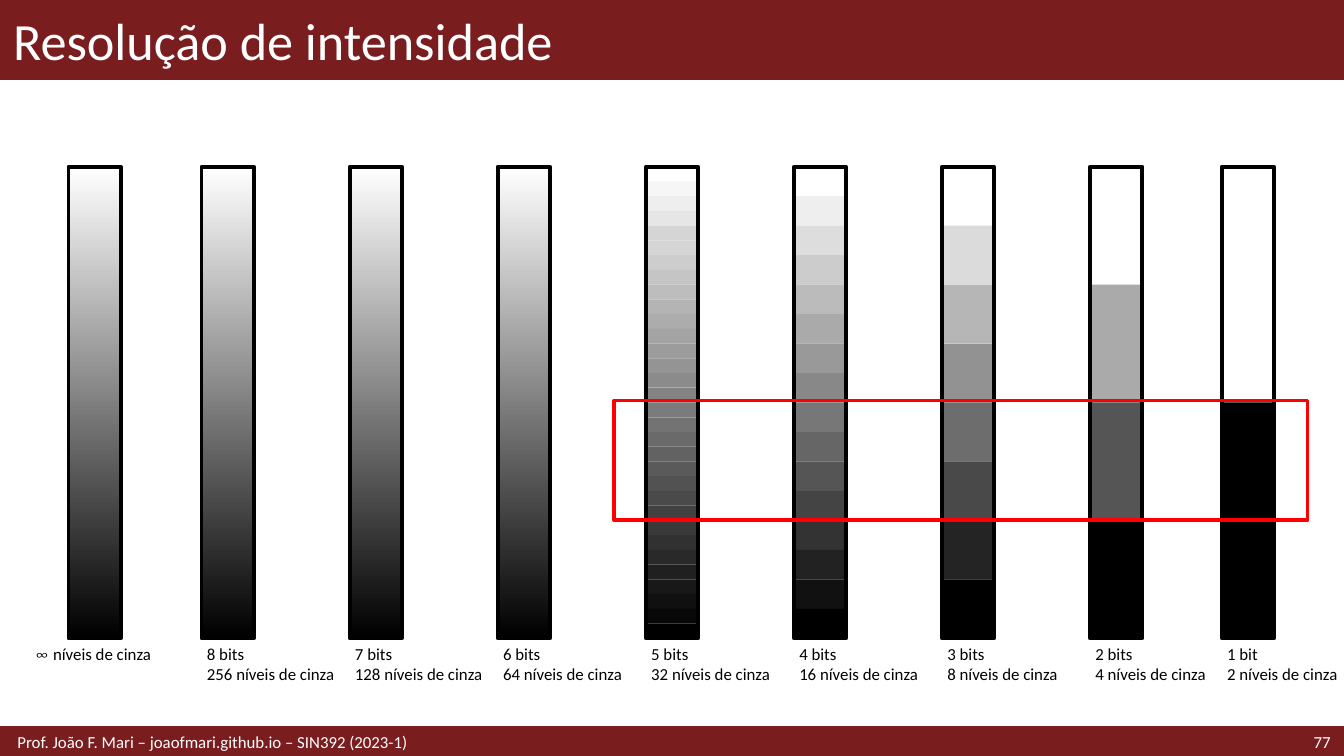
from pptx import Presentation
from pptx.dml.color import RGBColor
from pptx.enum import shapes, text
from pptx.util import Inches, Pt

COLORS = {"white": "FFFFFF", "black": "000000", "maroon": "791D1F", "red": "FF0000"}
FONT = "Calibri"
BAR_TOP, BAR_WIDTH, BAR_HEIGHT = 1.24, 0.39, 3.51
SLIDE_WIDTH = 10
SLIDE_HEIGHT = SLIDE_WIDTH * 9 / 16


def rgb(color):
    return RGBColor.from_string(COLORS.get(color, color))


def gray_levels(count):
    """Hex grays from white to black, in equal steps."""
    values = [255 * (count - 1 - i) / (count - 1) for i in range(count)]
    # The 32-level scale is truncated and repeats its sixth gray in fifth place
    if count == 32:
        values = [int(value) for value in values]
        values[4] = values[5]
    return [f"{round(value):02X}" * 3 for value in values]


class SlideBuilder:
    def __init__(self, page):
        self.page = page

    def rect(self, left, top, width, height, fill=None, line=None, weight=2, parent=None):
        box = (parent or self.page).shapes.add_shape(
            shapes.MSO_SHAPE.RECTANGLE,
            Inches(left), Inches(top), Inches(width), Inches(height))
        box.shadow.inherit = False
        if fill:
            box.fill.solid()
            box.fill.fore_color.rgb = rgb(fill)
        else:
            box.fill.background()
        if line:
            box.line.color.rgb = rgb(line)
            box.line.width = Pt(weight)
        else:
            box.line.fill.background()
        return box

    def label(self, left, top, width, height, lines, size=9, color="black",
              align=text.PP_ALIGN.LEFT, anchor=text.MSO_ANCHOR.MIDDLE,
              inset=0.1, inset_y=0.04):
        box = self.page.shapes.add_textbox(
            Inches(left), Inches(top), Inches(width), Inches(height))
        frame = box.text_frame
        frame.word_wrap = True
        frame.vertical_anchor = anchor
        frame.margin_left = frame.margin_right = Inches(inset)
        frame.margin_top = frame.margin_bottom = Inches(inset_y)
        for i, line in enumerate(lines):
            para = frame.add_paragraph() if i else frame.paragraphs[0]
            para.alignment = align
            para.font.size = Pt(size)
            para.font.color.rgb = rgb(color)
            # A line is a list of (words, font) spans, or words in the usual font
            if isinstance(line, str):
                para.font.name = FONT
                para.text = line
            else:
                for words, font in line:
                    span = para.add_run()
                    span.text = words
                    span.font.name = font

    def caption(self, left, width, lines):
        self.label(left, 4.75, width, 0.34, lines,
                   anchor=text.MSO_ANCHOR.TOP, inset=0.04)

    def gradient_bar(self, left):
        bar = self.rect(left, BAR_TOP, BAR_WIDTH, BAR_HEIGHT, "white", "black")
        bar.fill.gradient()
        bar.fill.gradient_angle = 270
        for stop, color in zip(bar.fill.gradient_stops, ("white", "black")):
            stop.color.rgb = rgb(color)

    def stepped_bar(self, left, count):
        group = self.page.shapes.add_group_shape()
        step = BAR_HEIGHT / count
        for i, gray in enumerate(gray_levels(count)):
            self.rect(left, BAR_TOP + i * step, BAR_WIDTH, step, gray, parent=group)
        self.rect(left, BAR_TOP, BAR_WIDTH, BAR_HEIGHT, line="black")


def main():
    deck = Presentation()
    deck.slide_width, deck.slide_height = Inches(SLIDE_WIDTH), Inches(SLIDE_HEIGHT)
    slide = SlideBuilder(deck.slides.add_slide(deck.slide_layouts[6]))

    # Title and footer bands
    footer_height = 0.21
    footer_top = SLIDE_HEIGHT - footer_height
    slide.rect(0, 0, SLIDE_WIDTH, 0.59, "maroon", "maroon", 1)
    slide.rect(0, footer_top, SLIDE_WIDTH, footer_height, "maroon", "maroon")
    slide.label(0, 0, SLIDE_WIDTH, 0.59, ["Resolução de intensidade"], 28, "white")
    slide.label(8.86, footer_top, 1.14, footer_height, ["77"], color="white",
                align=text.PP_ALIGN.RIGHT, inset_y=0)
    slide.label(0, footer_top, 6.89, footer_height,
                ["Prof. João F. Mari – joaofmari.github.io – SIN392 (2023-1)"],
                color="white", inset=0.13, inset_y=0)

    # Continuous scale
    slide.gradient_bar(0.51)
    slide.caption(0.22, 0.98, [[("∞", "Cambria"), (" níveis de cinza", FONT)]])

    # Scales from 8 bits down to 1 bit; the last one sits closer
    lefts = [1.5 + 6.61 * i / 6 for i in range(7)] + [9.09]
    for bits, left in zip(range(8, 0, -1), lefts):
        count = 2 ** bits
        if bits > 5:
            slide.gradient_bar(left)
        else:
            slide.stepped_bar(left, count)
        width = min(1.1 if count > 99 else 0.98, SLIDE_WIDTH - left)
        unit = "bits" if bits > 1 else "bit"
        slide.caption(left, width, [f"{bits} {unit}", f"{count} níveis de cinza"])

    # Highlighted range
    slide.rect(4.57, 2.98, 5.16, 0.89, line="red")

    deck.save("out.pptx")


if __name__ == "__main__":
    main()
